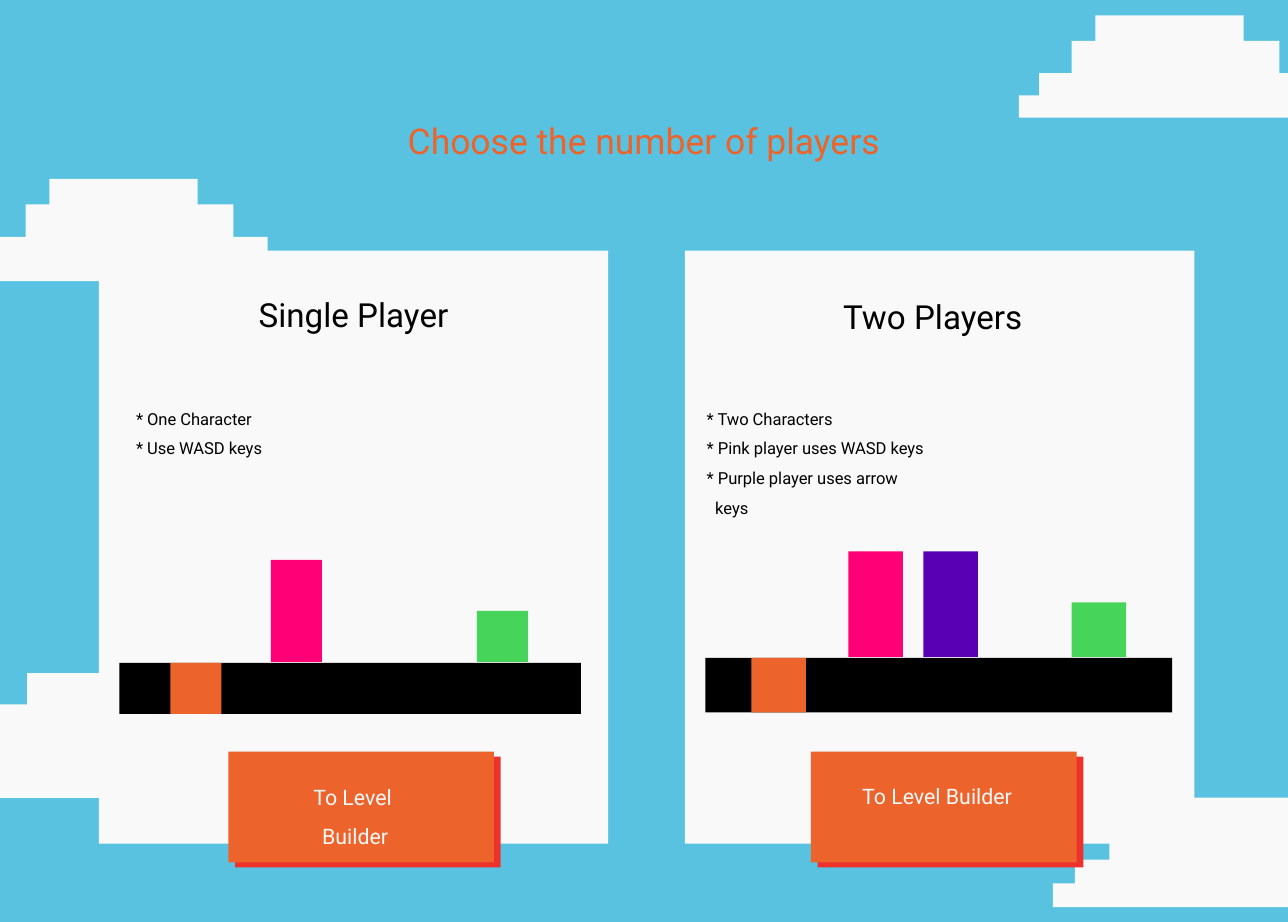
import pptx
import pptx.util
import pptx.dml.color
import pptx.enum.shapes
import pptx.enum.text

Inches = pptx.util.Inches
RGBColor = pptx.dml.color.RGBColor
SKY = RGBColor(0x59, 0xC2, 0xE0)
WHITE = RGBColor(0xF9, 0xF9, 0xF9)
ORANGE = RGBColor(0xED, 0x63, 0x2C)
RED = RGBColor(0xED, 0x32, 0x2E)
BLACK = RGBColor(0, 0, 0)
GREEN = RGBColor(0x47, 0xD4, 0x5B)
PINK = RGBColor(0xFF, 0x00, 0x76)
PURPLE = RGBColor(0x5A, 0x00, 0xB4)

WIDTH, HEIGHT = 7.56, 5.41
STEPS = [(0.45, 1.32, 0, 0.15), (0.31, 1.53, 0.15, 0.34),
         (0.12, 1.73, 0.34, 0.47), (0, 1.89, 0.47, 0.6)]


def paint(shape, color):
    shape.shadow.inherit = False
    shape.fill.solid()
    shape.fill.fore_color.rgb = color
    shape.line.fill.background()


def add_block(shapes, left, top, width, height, color):
    block = shapes.add_shape(
        pptx.enum.shapes.MSO_SHAPE.RECTANGLE,
        Inches(left), Inches(top), Inches(width), Inches(height))
    paint(block, color)


def add_cloud(shapes, left, top, scale):
    right_side = [(x, y) for _, x, y1, y2 in STEPS for y in (y1, y2)]
    left_side = [(x, y) for x, _, y1, y2 in STEPS[::-1] for y in (y2, y1)]
    points = [(Inches(left + x * scale), Inches(top + y * scale))
              for x, y in right_side + left_side]
    outline = shapes.build_freeform(*points[0])
    outline.add_line_segments(points[1:], close=True)
    paint(outline.convert_to_shape(), WHITE)


def add_text(shapes, box, lines, size, color, center=True, spacing=None):
    frame = shapes.add_textbox(*map(Inches, box)).text_frame
    frame.word_wrap = True
    frame.auto_size = pptx.enum.text.MSO_AUTO_SIZE.SHAPE_TO_FIT_TEXT
    align = pptx.enum.text.PP_ALIGN
    for index, line in enumerate(lines):
        para = frame.add_paragraph() if index else frame.paragraphs[0]
        para.alignment = align.CENTER if center else align.LEFT
        if spacing:
            para.line_spacing = spacing
        if not center and not line.startswith("*"):
            para._p.get_or_add_pPr().set("marL", str(Inches(0.05)))
        run = para.add_run()
        run.text = line
        run.font.size = pptx.util.Pt(size)
        run.font.name = "Roboto"
        run.font.color.rgb = color


def add_button(shapes, left, top):
    add_block(shapes, left + 0.04, top + 0.03, 1.56, 0.65, RED)
    add_block(shapes, left, top, 1.56, 0.65, ORANGE)


def add_scene(shapes, left, floor, width, unit, trap, goal, tall, players):
    parts = shapes.add_group_shape().shapes
    add_block(parts, left, floor, width, unit, BLACK)
    add_block(parts, trap, floor, unit, unit, ORANGE)
    add_block(parts, goal, floor - unit - 0.005, unit, unit, GREEN)
    for x, color in players:
        add_block(parts, x, floor - tall - 0.005, unit, tall, color)


def main():
    deck = pptx.Presentation()
    deck.slide_width = Inches(WIDTH)
    deck.slide_height = Inches(HEIGHT)
    shapes = deck.slides.add_slide(deck.slide_layouts[6]).shapes

    add_block(shapes, 0, 0, WIDTH, HEIGHT, SKY)
    for cloud in [(-0.16, 1.05, 1), (5.98, 0.09, 1),
                  (6.18, 4.68, 1.07), (-0.39, 3.95, 1.22)]:
        add_cloud(shapes, *cloud)
    for left in (4.02, 0.58):
        add_block(shapes, left, 1.47, 2.99, 3.48, WHITE)
    add_text(shapes, (0.15, 0.65, 7.26, 0.35),
             ["Choose the number of players"], 15, ORANGE)

    for left in (1.34, 4.76):
        add_button(shapes, left, 4.41)
    add_text(shapes, (1.47, 4.48, 1.23, 0.5),
             ["To Level ", "Builder"], 9, WHITE, spacing=1.5)
    add_text(shapes, (4.85, 4.47, 1.3, 0.5),
             ["To Level Builder"], 9, WHITE, spacing=1.5)

    add_text(shapes, (0.28, 1.68, 3.59, 0.34), ["Single Player"], 14, BLACK)
    add_text(shapes, (3.68, 1.69, 3.59, 0.34), ["Two Players"], 14, BLACK)
    add_text(shapes, (0.7, 2.29, 3.59, 0.59),
             ["* One Character", "* Use WASD keys"],
             7, BLACK, center=False, spacing=1.5)
    add_text(shapes, (4.05, 2.29, 2.96, 0.76),
             ["* Two Characters", "* Pink player uses WASD keys",
              "* Purple player uses arrow", "keys"],
             7, BLACK, center=False, spacing=1.5)

    add_scene(shapes, 0.7, 3.89, 2.71, 0.3, 1, 2.8, 0.6, [(1.59, PINK)])
    add_scene(shapes, 4.14, 3.86, 2.74, 0.32, 4.41, 6.29, 0.62,
              [(4.98, PINK), (5.42, PURPLE)])
    deck.save("out.pptx")


if __name__ == "__main__":
    main()
